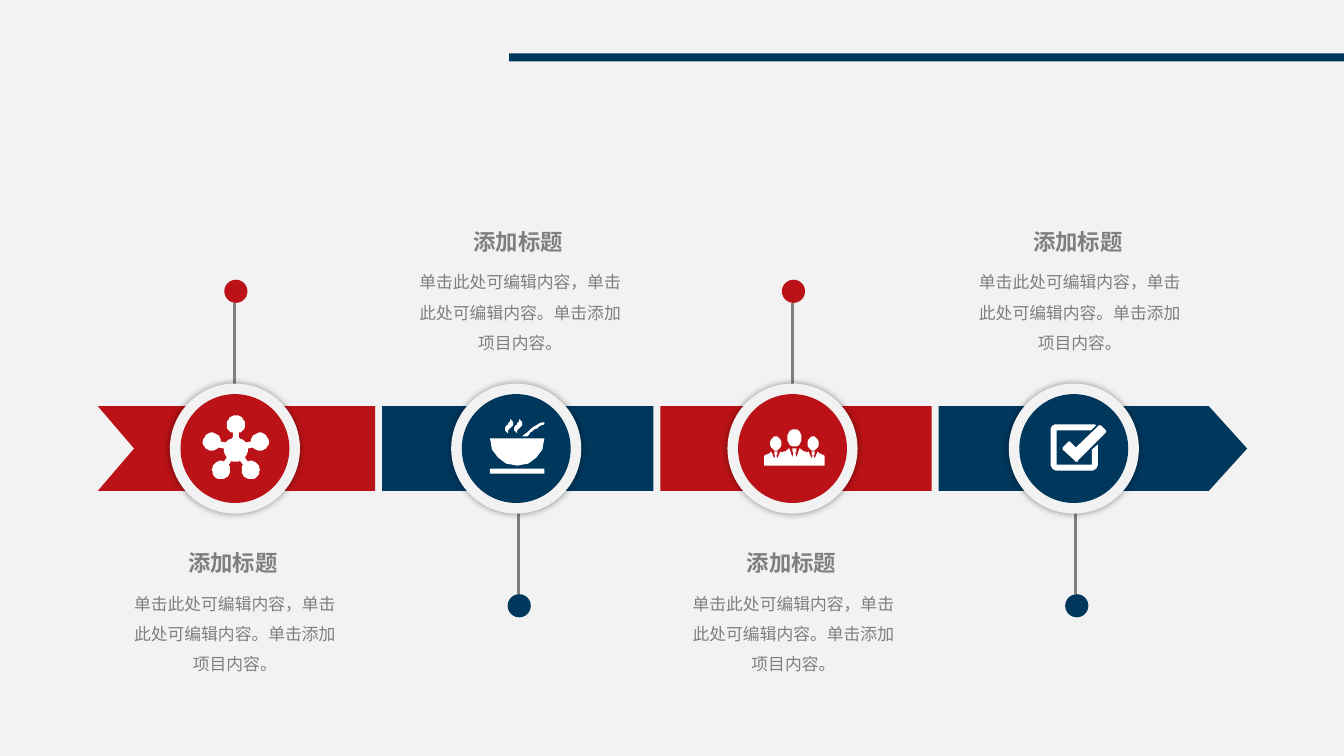
"""Build a four-step ribbon timeline slide with icons, pins and captions."""
import math
import lxml.etree
import pptx
import pptx.dml.color
import pptx.enum.shapes
import pptx.enum.text
import pptx.oxml.ns
import pptx.util

RED, BLUE, GREY, PALE, WHITE = "BA1216", "00375D", "7F7F7F", "F2F2F2", "FFFFFF"
FONT = "Noto Sans CJK SC"
HEAD = "添加标题"
BODY = "单击此处可编辑内容，单击此处可编辑内容。单击添加项目内容。"
WIDE, HIGH = 13.33, 7.5
STEPS = [
    {"ring": 2.33, "pin": 2.33, "text": 2.33, "up": True, "fill": RED},
    {"ring": 5.12, "pin": 5.14, "text": 5.16, "up": False, "fill": BLUE},
    {"ring": 7.86, "pin": 7.86, "text": 7.87, "up": True, "fill": RED},
    {"ring": 10.65, "pin": 10.67, "text": 10.71, "up": False, "fill": BLUE},
]
LEFT, PITCH, PIECE, MID, HALF = 0.97, 2.76, 2.69, 4.45, 0.42
RING, DISC, DOT, REACH = 1.29, 1.08, 0.23, 1.56

# Icon outlines: hundredths of an inch, two numbers a line, six a curve
STEAM = [(515, 416), (517, 417, 518, 418, 518, 420), (518, 423, 515, 425, 514, 426),
         (513, 427, 513, 429, 513, 430), (510, 428, 509, 426, 511, 423),
         (512, 421, 515, 420, 515, 416)]
BOWL = [(486, 435), (540, 435), (540, 450, 528, 462, 513, 462),
        (498, 462, 486, 450, 486, 435)]
BASE = [(486, 465), (540, 465), (540, 470), (486, 470)]
SPOON = [(539, 419), (540, 419, 541, 421, 540, 421), (533, 424, 527, 428, 523, 433),
         (518, 433), (524, 427, 530, 422, 538, 419)]
COATS = [(788, 445), (785, 445, 785, 447, 787, 449), (786, 454), (783, 445),
         (783, 445, 780, 447, 776, 449), (774, 448), (771, 455), (770, 452),
         (772, 448, 770, 448, 769.5, 448), (769, 448, 767, 448, 769, 452),
         (768, 455), (765, 448), (765, 448, 763, 450, 760, 451),
         (758, 452, 758, 454, 758, 455), (758, 462)]
TICK = [(1091, 422), (1091, 422, 1092, 422, 1093, 423), (1096, 426),
        (1097, 427, 1097, 429, 1096, 430), (1069, 457),
        (1069, 458, 1066, 458, 1066, 457), (1055, 447),
        (1054, 446, 1054, 444, 1055, 443), (1059, 439),
        (1060, 438, 1061, 438, 1062, 439), (1067, 444), (1089, 423),
        (1089, 422, 1090, 422, 1091, 422)]
FRAME = [(1048, 421), (1083, 421), (1084, 421, 1086, 421, 1087, 422), (1082, 427),
         (1048, 427), (1048, 461), (1083, 461), (1083, 446), (1089, 441), (1089, 461),
         (1089, 464, 1086, 467, 1083, 467), (1048, 467),
         (1045, 467, 1042, 464, 1042, 461), (1042, 426),
         (1042, 423, 1045, 421, 1048, 421)]

deck = pptx.Presentation()
deck.slide_width, deck.slide_height = pptx.util.Inches(WIDE), pptx.util.Inches(HIGH)
slide = deck.slides.add_slide(deck.slide_layouts[6])
KIND = pptx.enum.shapes.MSO_SHAPE


def tint(code):
    """Turn a hex string into a colour."""
    return pptx.dml.color.RGBColor.from_string(code)


def paint(shape, code):
    """Give a shape a flat fill with no line or shadow."""
    shape.shadow.inherit = False
    shape.fill.solid()
    shape.fill.fore_color.rgb = tint(code)
    shape.line.fill.background()
    return shape


def block(kind, left, top, width, height, code):
    """Add a filled preset shape."""
    spot = [pptx.util.Inches(n) for n in (left, top, width, height)]
    return paint(slide.shapes.add_shape(kind, *spot), code)


def disc(x, y, size, code):
    """Add a filled circle about its centre."""
    return block(KIND.OVAL, x - size / 2, y - size / 2, size, size, code)


def trace(items, parts=8):
    """Flatten lines and curves into points."""
    points = []
    for item in items:
        if len(item) == 2:
            points.append(item)
            continue
        knots = [points[-1], item[:2], item[2:4], item[4:]]
        for step in range(1, parts + 1):
            t = step / parts
            mix = [math.comb(3, k) * t ** k * (1 - t) ** (3 - k) for k in range(4)]
            points.append(tuple(sum(m * p[a] for m, p in zip(mix, knots)) for a in (0, 1)))
    return points


def arc(x, y, wide, high, start, end, parts=24):
    """List points along an arc, with angles in degrees."""
    turns = [math.radians(start + (end - start) * n / parts) for n in range(parts + 1)]
    return [(x + wide * math.cos(a), y + high * math.sin(a)) for a in turns]


def draw(loops, code):
    """Add one freeform made of closed loops."""
    pen = slide.shapes.build_freeform(*loops[0][0], scale=9144)
    for n, loop in enumerate(loops):
        if n:
            pen.move_to(*loop[0])
        pen.add_line_segments(loop[1:], close=True)
    return paint(pen.convert_to_shape(), code)


def glow(shape):
    """Give a shape a soft shadow."""
    tag = pptx.oxml.ns.qn
    list_ = shape.element.spPr.find(tag("a:effectLst"))
    soft = lxml.etree.SubElement(list_, tag("a:outerShdw"), blurRad="63500", dist="0",
                                 dir="0", algn="ctr", rotWithShape="0")
    tone = lxml.etree.SubElement(soft, tag("a:srgbClr"), val="000000")
    lxml.etree.SubElement(tone, tag("a:alpha"), val="40000")


def stem(x, start, end):
    """Add an upright grey line."""
    ends = [pptx.util.Inches(n) for n in (x, start, x, end)]
    line = slide.shapes.add_connector(pptx.enum.shapes.MSO_CONNECTOR.STRAIGHT, *ends)
    line.line.color.rgb = tint(GREY)
    line.line.width = pptx.util.Pt(2.25)
    lxml.etree.SubElement(line.element.spPr, pptx.oxml.ns.qn("a:effectLst"))


def write(text, mid, top, width, height, size, bold=False, space=None):
    """Add centred text about a middle line."""
    spot = [pptx.util.Inches(n) for n in (mid - width / 2, top, width, height)]
    frame = slide.shapes.add_textbox(*spot).text_frame
    frame.word_wrap = True
    frame.auto_size = pptx.enum.text.MSO_AUTO_SIZE.SHAPE_TO_FIT_TEXT
    frame.margin_left = frame.margin_right = frame.margin_top = frame.margin_bottom = 0
    para = frame.paragraphs[0]
    para.alignment = pptx.enum.text.PP_ALIGN.CENTER
    para.line_spacing = space
    run = para.add_run()
    run.text = text
    run.font.size, run.font.bold, run.font.name = pptx.util.Pt(size), bold, FONT
    run.font.color.rgb = tint(GREY)
    lxml.etree.SubElement(run.font._element, pptx.oxml.ns.qn("a:ea"), typeface=FONT)


def band():
    """Draw the ribbon: a notched tail, two blocks and an arrow."""
    top, low, mid = [round(100 * (MID + n)) for n in (-HALF, HALF, 0)]
    tail, nose = 100 * LEFT, 100 * (LEFT + 3 * PITCH + 0.06)
    end = tail + 275
    draw([[(tail, top), (end, top), (end, low), (tail, low), (tail + 36, mid)]], RED)
    for n in (1, 2):
        block(KIND.RECTANGLE, LEFT + n * PITCH + 0.06, MID - HALF, PIECE, 2 * HALF,
              STEPS[n]["fill"])
    neck = nose + 268
    draw([[(nose, top), (neck, top), (neck + 38, mid), (neck, low), (nose, low)]], BLUE)


def icons():
    """Draw the four white icons."""
    hub = []
    for turn in range(-90, 270, 72):
        angle = math.radians(turn)
        x, y = 234 + 25 * math.cos(angle), 446 + 25 * math.sin(angle)
        hub += arc(x, y, 9, 9, turn - 160, turn + 160)
        hub += arc(234, 446, 12, 12, turn + 15, turn + 57, 6)
    left = trace(COATS)
    coats = left + [(1576 - x, y) for x, y in reversed(left)]
    heads = [arc(x, y, w, h, 0, 360) for x, y, w, h in
             ((769.5, 440, 5.5, 7), (788, 434.5, 7, 8.5), (806.5, 440, 5.5, 7))]
    steam = trace(STEAM)
    puff = [(x - 9, y) for x, y in steam]
    bowl = [trace(part) for part in (BASE, BOWL, SPOON)]
    for loops in ([hub], bowl + [steam, puff], [coats] + heads, [trace(TICK), trace(FRAME)]):
        draw(loops, WHITE)


def main():
    """Lay out the slide and save it."""
    slide.background.fill.solid()
    slide.background.fill.fore_color.rgb = tint(PALE)
    band()
    for step in STEPS:
        side = -1 if step["up"] else 1
        tip = MID + side * REACH
        stem(step["pin"], tip - side * DOT / 2, MID + side * DISC / 2)
        glow(disc(step["ring"], MID, RING, PALE))
        disc(step["ring"], MID, DISC, step["fill"])
        disc(step["pin"] + 0.01, tip, DOT, step["fill"])
        top = 5.45 if step["up"] else 2.26
        write(HEAD, step["text"] - 0.02, top, 1.65, 0.27, 16, bold=True)
        write(BODY, step["text"], top + 0.34, 2.1, 0.87, 12, space=1.5)
    icons()
    block(KIND.RECTANGLE, 5.05, 0.53, WIDE - 5.05, 0.08, BLUE)
    deck.save("out.pptx")


if __name__ == "__main__":
    main()
